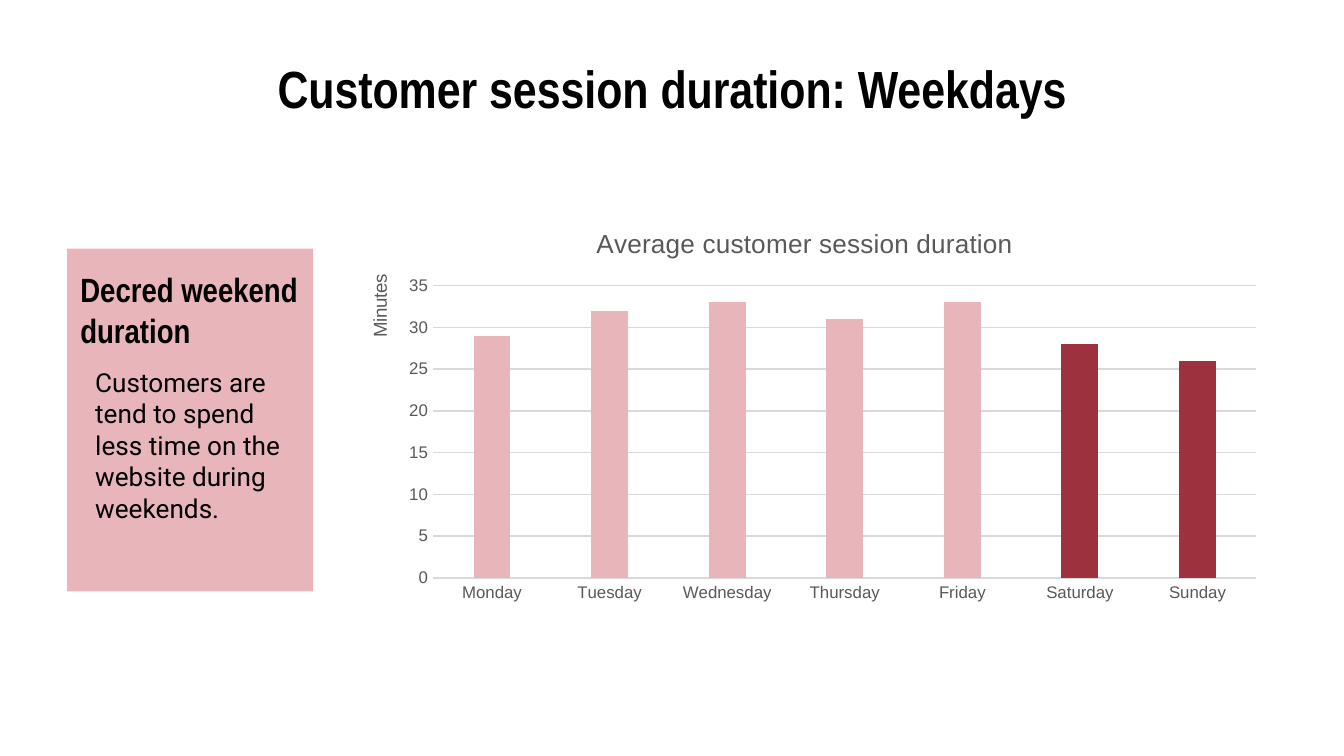
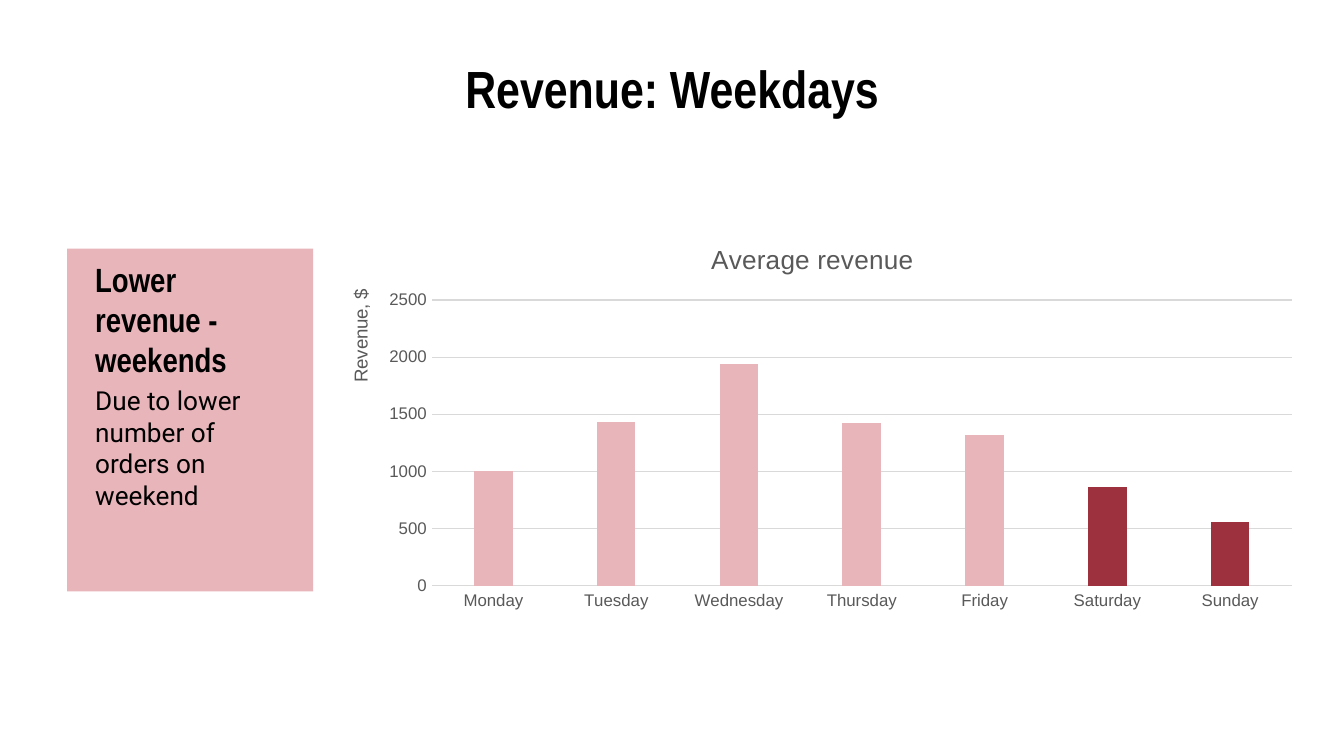
from lxml import etree
from pptx import Presentation
from pptx import util as u
from pptx.chart.data import CategoryChartData
from pptx.dml.color import RGBColor
from pptx.enum import chart as ch, shapes, text
from pptx.oxml.ns import qn

COLORS = {"pink": "E8B5BB", "red": "9E313E", "ink": "000000",
          "gray": "595959", "grid": "D9D9D9", "paper": "FFFFFF"}
DAYS = ["Monday", "Tuesday", "Wednesday", "Thursday", "Friday", "Saturday", "Sunday"]
WEEKEND = DAYS[5:]
TITLE = {"name": "Arial Narrow", "size": u.Pt(28), "bold": True}
HEADING = {**TITLE, "size": u.Pt(18)}
BODY = {"name": "Roboto", "size": u.Pt(14)}
CHART_TITLE = {"name": "Arial", "size": u.Pt(14), "bold": False}
AXIS_TITLE = {**CHART_TITLE, "size": u.Pt(10)}
TICKS = {**CHART_TITLE, "size": u.Pt(9)}

SLIDES = [
    {"title": "Customer session duration: Weekdays",
     "heading": ("Decred weekend duration", (1.27, 5.03, 4.75, 1.65)),
     "body": ("Customers are tend to spend less time on the website during weekends.",
              (1.55, 7.37, 4.11, 2.08)),
     "chart": {"title": "Average customer session duration", "unit": "Minutes",
               "vals": [29, 32, 33, 31, 33, 28, 26], "top": 35, "step": 5,
               "box": (6.32, 3.91, 17.78, 7.65),
               "plot": {"x": 10.5, "y": 19.5, "w": 87.5, "h": 72.2}}},
    {"title": "Revenue: Weekdays",
     "heading": ("Lower revenue - weekends", (1.55, 5.21, 4.11, 1.65)),
     "body": ("Due to lower number of orders on weekend", (1.55, 7.42, 4.11, 2.08)),
     "chart": {"title": "Average revenue", "unit": "Revenue, $",
               "vals": [1000, 1430, 1940, 1420, 1320, 860, 560], "top": 2500, "step": 500,
               "box": (5.92, 4.22, 18.87, 7.49),
               "plot": {"x": 11.9, "y": 19.4, "w": 86.1, "h": 72.1}}},
]


def rgb(name):
    """Return the named colour."""
    return RGBColor.from_string(COLORS[name])


def cm(box):
    """Convert a box of centimetres to lengths."""
    return [u.Cm(v) for v in box]


def apply(obj, values):
    """Set attributes of an object from a dict."""
    for key, value in values.items():
        setattr(obj, key, value)


def set_font(font, style, color="ink"):
    """Give a font its style and colour."""
    apply(font, style)
    font.color.rgb = rgb(color)


def paint(fill, color):
    """Fill with one solid colour."""
    fill.solid()
    fill.fore_color.rgb = rgb(color)


def add_text(slide, words, box, style, align=text.PP_ALIGN.LEFT):
    """Add a wrapped, vertically centred text box."""
    tf = slide.shapes.add_textbox(*cm(box)).text_frame
    apply(tf, {"word_wrap": True, "vertical_anchor": text.MSO_ANCHOR.MIDDLE})
    apply(tf, {f"margin_{side}": u.Cm(0.25) for side in ("left", "top", "right", "bottom")})
    p = tf.paragraphs[0]
    p.alignment = align
    r = p.add_run()
    r.text = words
    set_font(r.font, style)


def add_panel(slide):
    """Add the pink panel behind the comment."""
    sp = slide.shapes.add_shape(shapes.MSO_SHAPE.RECTANGLE, *cm((1.27, 4.7, 4.65, 6.48)))
    sp.shadow.inherit = False
    paint(sp.fill, "pink")
    sp.line.fill.background()


def place(parent, index, percents, inner=False):
    """Fix a chart part at percentages of the chart area."""
    for old in parent.findall(qn("c:layout")):
        parent.remove(old)
    layout = etree.Element(qn("c:layout"))
    manual = etree.SubElement(layout, qn("c:manualLayout"))
    values = {"layoutTarget": "inner"} if inner else {}
    values.update({"xMode": "edge", "yMode": "edge"})
    values.update({key: str(value / 100) for key, value in percents.items()})
    for key, value in values.items():
        etree.SubElement(manual, qn(f"c:{key}")).set("val", value)
    parent.insert(index, layout)


def set_title(title, words, style):
    """Write a chart or axis title."""
    p = title.text_frame.paragraphs[0]
    r = p.add_run()
    r.text = words
    set_font(r.font, style, "gray")


def style_axes(chart, spec):
    """Format both axes and the value axis title."""
    cat, val = chart.category_axis, chart.value_axis
    for axis in (cat, val):
        apply(axis, {"major_tick_mark": ch.XL_TICK_MARK.NONE,
                     "minor_tick_mark": ch.XL_TICK_MARK.NONE})
        set_font(axis.tick_labels.font, TICKS, "gray")
    apply(val, {"minimum_scale": 0, "maximum_scale": spec["top"],
                "major_unit": spec["step"], "has_major_gridlines": True})
    apply(val.tick_labels, {"number_format": "0", "number_format_is_linked": False})
    val.format.line.fill.background()
    for line in (cat.format.line, val.major_gridlines.format.line):
        line.width = u.Pt(0.75)
        line.color.rgb = rgb("grid")
    set_title(val.axis_title, spec["unit"], AXIS_TITLE)
    title = val.axis_title.element
    body = title.find(".//" + qn("a:bodyPr"))
    body.set("rot", "-5400000")
    body.set("vert", "horz")
    place(title, 1, {"x": 3.2, "y": 15.8})


def add_chart(slide, spec):
    """Add a column chart of the week with the weekend in red."""
    data = CategoryChartData(number_format="0")
    data.categories = DAYS
    data.add_series("Series 1", spec["vals"])
    chart = slide.shapes.add_chart(
        ch.XL_CHART_TYPE.COLUMN_CLUSTERED, *cm(spec["box"]), data).chart
    chart.has_legend = False
    set_font(chart.font, AXIS_TITLE)
    set_title(chart.chart_title, spec["title"], CHART_TITLE)
    chart.chart_title.include_in_layout = False
    style_axes(chart, spec)
    plot = chart.plots[0]
    apply(plot, {"gap_width": 219, "overlap": -27, "vary_by_categories": False})
    series = plot.series[0]
    paint(series.format.fill, "pink")
    for day in WEEKEND:
        paint(series.points[DAYS.index(day)].format.fill, "red")
    place(chart.element.find(".//" + qn("c:plotArea")), 0, spec["plot"], inner=True)


def add_slide(prs, spec):
    """Add one slide with title, comment panel and chart."""
    slide = prs.slides.add_slide(prs.slide_layouts[6])
    paint(slide.background.fill, "paper")
    add_panel(slide)
    add_text(slide, spec["title"], (1.27, 1.14, 22.86, 1.04), TITLE, text.PP_ALIGN.CENTER)
    add_text(slide, *spec["heading"], HEADING)
    add_text(slide, *spec["body"], BODY)
    add_chart(slide, spec["chart"])


def main():
    """Build and save the deck."""
    prs = Presentation()
    apply(prs, {"slide_width": u.Cm(25.4), "slide_height": u.Cm(14.29)})
    for spec in SLIDES:
        add_slide(prs, spec)
    prs.save("out.pptx")


if __name__ == "__main__":
    main()
